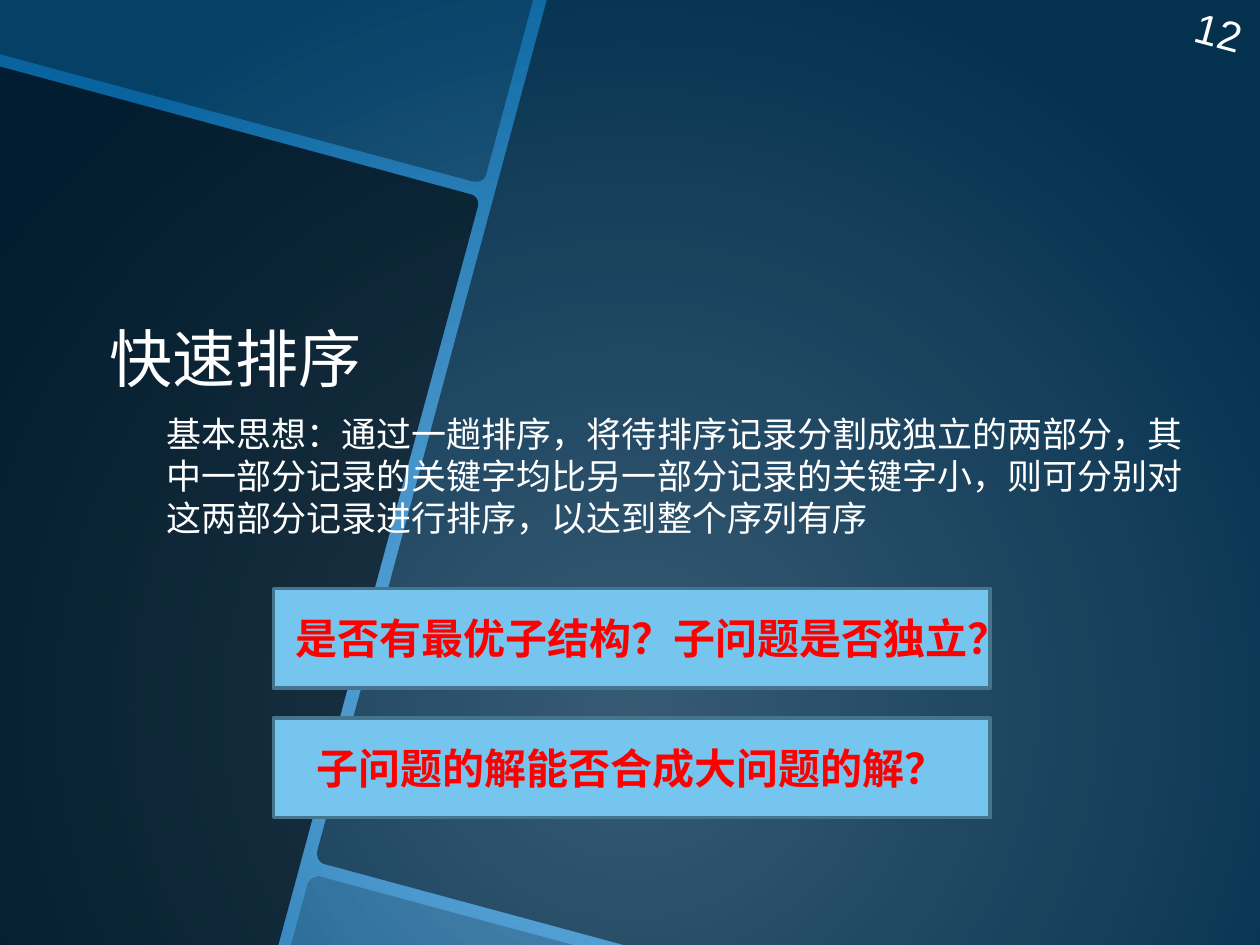
from lxml.etree import SubElement
from pptx import Presentation
from pptx.dml.color import RGBColor
from pptx.enum.shapes import MSO_SHAPE as Shape
from pptx.enum.text import MSO_ANCHOR as Anchor, PP_ALIGN as Align
from pptx.oxml.ns import qn
from pptx.util import Pt

# Content
PAGE_NUMBER = "12"
TOPIC = [  # text, size, left indent, space before
    ("快速排序", 36, 28.8, 0),
    ("基本思想：通过一趟排序，将待排序记录分割成独立的两部分，其中一部分记录的关键字均比另一部分记录的关键字小，"
     "则可分别对这两部分记录进行排序，以达到整个序列有序", 20, 61.2, 4),
]
QUESTIONS = ["是否有最优子结构？子问题是否独立？", "子问题的解能否合成大问题的解？"]

COLORS = {"glow": "70B6E8", "edge": "08639E", "panel": "000000", "text": "FFFFFF",
          "box": "76C5EF", "border": "45748D", "question": "FF0000"}
FONT, NUMBER_FONT = "Roboto Slab", "Arial"

# Background panels: opacity in %, then corners; six numbers make a Bézier curve
PANELS = [
    (70, [(0, 38), (268.6, 110.9), (272.2, 111.6, 274.3, 115.2, 272.9, 118.8),
          (159.1, 540), (0, 540)]),
    (35, [(0, 0), (304.6, 0), (277.9, 99.4),
          (277.2, 103, 273.6, 104.4, 270, 103.7), (0, 31)]),
    (20, [(180.7, 501.1), (181.4, 500.4, 182.9, 500.4, 183.6, 501.1), (327.6, 540),
          (166.3, 540), (175.7, 505.4), (176.4, 503.3, 178.6, 501.1, 180.7, 501.1)]),
    (50, [(312.5, 0), (720, 0), (720, 540), (356.4, 540), (185.8, 493.9),
          (182.2, 493.2, 180.7, 489.6, 181.4, 486)]),
]
CURVE_STEPS = 8


def rgb(name):
    return RGBColor.from_string(COLORS[name])


def style(paragraph, size, color, font=FONT, bold=False):
    for run in paragraph.runs:
        run.font.size = Pt(size)
        run.font.name = font
        run.font.bold = bold
        run.font.color.rgb = rgb(color)


def outline(corners):
    """Turn corners and curves into a list of points."""
    points = []
    for corner in corners:
        if len(corner) == 2:
            points.append(corner)
            continue
        controls = [points[-1], corner[:2], corner[2:4], corner[4:]]
        for step in range(1, CURVE_STEPS + 1):
            t = step / CURVE_STEPS
            weights = ((1 - t) ** 3, 3 * t * (1 - t) ** 2, 3 * t * t * (1 - t), t ** 3)
            points.append(tuple(sum(w * c[axis] for w, c in zip(weights, controls))
                                for axis in (0, 1)))
    return [(Pt(x), Pt(y)) for x, y in points]


def paint_background(slide):
    fill = slide.background.fill
    fill.gradient()
    for stop, position, color in zip(fill.gradient_stops, (0, 1), ("glow", "edge")):
        stop.position = position
        stop.color.rgb = rgb(color)
    gradient = slide.element.find(".//" + qn("a:gradFill"))
    gradient.remove(gradient.find(qn("a:lin")))
    circle = SubElement(gradient, qn("a:path"), path="circle")
    SubElement(circle, qn("a:fillToRect"), l="50000", t="50000", r="50000", b="0")


def add_panel(slide, opacity, corners):
    start, *rest = outline(corners)
    builder = slide.shapes.build_freeform(*start)
    builder.add_line_segments(rest, close=True)
    panel = builder.convert_to_shape()
    panel.shadow.inherit = False
    panel.line.fill.background()
    panel.fill.solid()
    panel.fill.fore_color.rgb = rgb("panel")
    color = panel.element.spPr.find(qn("a:solidFill"))[0]
    SubElement(color, qn("a:alpha"), val=str(opacity * 1000))


def fill_topic(body):
    body.left, body.top, body.width, body.height = Pt(26.6), Pt(27.4), Pt(669.6), Pt(467.3)
    frame = body.text_frame
    frame.vertical_anchor = Anchor.MIDDLE
    frame.margin_bottom = Pt(35)
    frame.text = "\n".join(text for text, *_ in TOPIC)
    for level, (paragraph, (_, size, indent, before)) in enumerate(zip(frame.paragraphs, TOPIC)):
        paragraph.level = level
        properties = paragraph._p.get_or_add_pPr()
        properties.set("marL", str(Pt(indent)))
        properties.set("indent", "0")
        SubElement(properties, qn("a:buNone"))
        paragraph.space_before = Pt(before)
        paragraph.space_after = Pt(6)
        style(paragraph, size, "text")


def add_page_number(slide):
    number = slide.shapes.add_textbox(Pt(539.3), Pt(-14.4), Pt(180), Pt(28.8))
    number.rotation = 15
    number.text_frame.word_wrap = True
    number.text_frame.vertical_anchor = Anchor.MIDDLE
    paragraph = number.text_frame.paragraphs[0]
    paragraph.text = PAGE_NUMBER
    paragraph.alignment = Align.RIGHT
    style(paragraph, 24, "text", NUMBER_FONT)


def add_question(slide, text, top):
    box = slide.shapes.add_shape(Shape.RECTANGLE, Pt(156.2), Pt(top), Pt(409.7), Pt(56.9))
    box.shadow.inherit = False
    box.fill.solid()
    box.fill.fore_color.rgb = rgb("box")
    box.line.color.rgb = rgb("border")
    box.line.width = Pt(2)
    box.text_frame.word_wrap = True
    box.text_frame.vertical_anchor = Anchor.MIDDLE
    paragraph = box.text_frame.paragraphs[0]
    paragraph.text = text
    paragraph.alignment = Align.CENTER
    style(paragraph, 24, "question", bold=True)


def main():
    deck = Presentation()
    deck.slide_width, deck.slide_height = Pt(720), Pt(540)
    slide = deck.slides.add_slide(deck.slide_layouts[1])
    title, body = slide.placeholders
    tree = body.element.getparent()
    tree.remove(title.element)

    # Backdrop
    paint_background(slide)
    for opacity, corners in PANELS:
        add_panel(slide, opacity, corners)

    # Text, in front of the panels
    tree.append(body.element)
    fill_topic(body)
    add_page_number(slide)
    for row, question in enumerate(QUESTIONS):
        add_question(slide, question, 336.2 + row * 74.2)

    deck.save("out.pptx")


if __name__ == "__main__":
    main()
